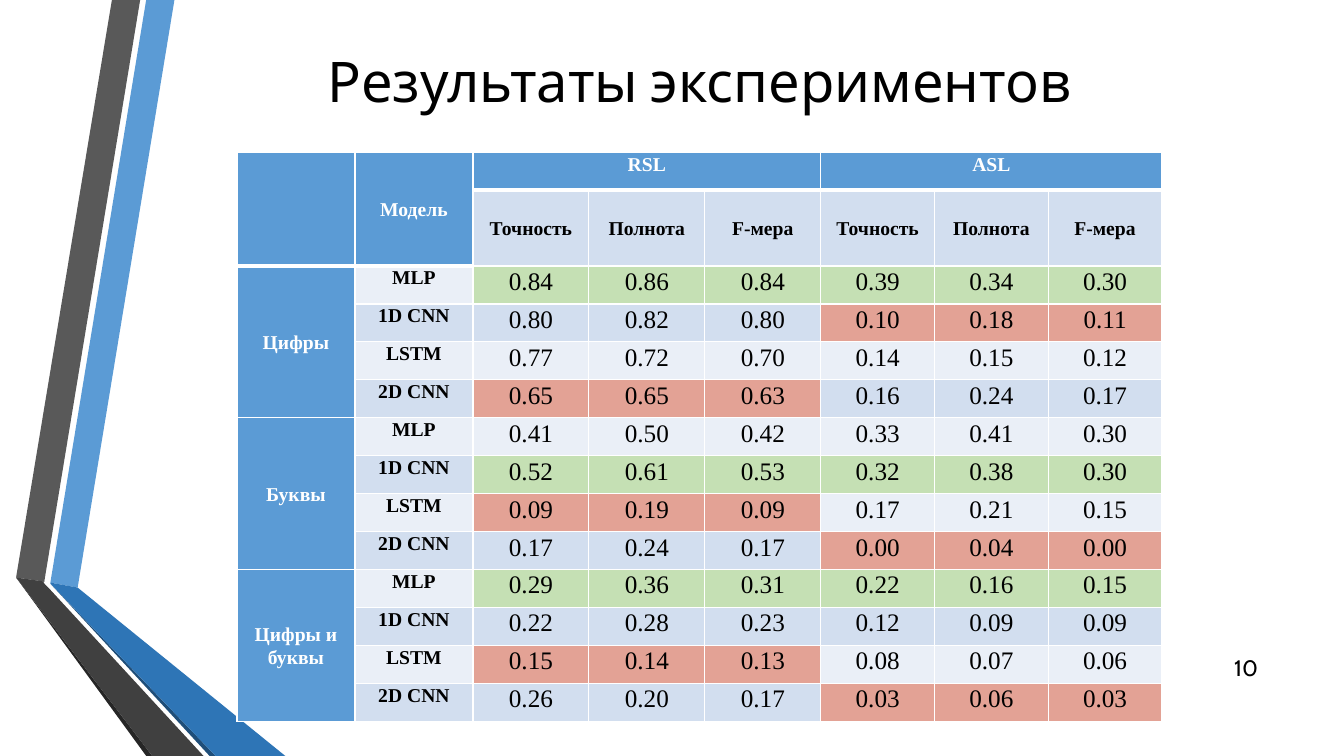
from dataclasses import dataclass

from lxml import etree
from pptx import Presentation
from pptx.dml.color import RGBColor
from pptx.enum.text import MSO_ANCHOR, MSO_AUTO_SIZE, PP_ALIGN
from pptx.oxml.ns import qn
from pptx.util import Inches, Pt

CENTER, RIGHT = PP_ALIGN.CENTER, PP_ALIGN.RIGHT
TOP, MIDDLE = MSO_ANCHOR.TOP, MSO_ANCHOR.MIDDLE
NO_AUTOFIT = MSO_AUTO_SIZE.NONE
WIDTH, HEIGHT = Inches(13.333), Inches(7.5)
TITLE_ONLY_LAYOUT = 5


@dataclass(frozen=True)
class Theme:
    heading_font: str = "Cabin"
    table_font: str = "Times New Roman"
    title_size: float = 40
    number_size: float = 16
    label_size: float = 14
    value_size: float = 18
    thin_line: float = 1
    heavy_line: float = 3
    white: str = "FFFFFF"
    black: str = "000000"
    blue: str = "5B9BD5"
    light_band: str = "EAEFF7"
    dark_band: str = "D2DEEF"
    best: str = "C5E0B4"
    worst: str = "E3A295"


THEME = Theme()


@dataclass(frozen=True)
class Ribbon:
    color: str
    points: tuple  # percent of the slide's width and height


@dataclass(frozen=True)
class TextStyle:
    font: str
    size: float
    color: str = THEME.black
    bold: bool = False


@dataclass(frozen=True)
class Experiment:
    group: str
    rsl: tuple  # one (precision, recall, F) triple per model
    asl: tuple


RIBBONS = (
    Ribbon(THEME.blue, ((3.75, 77.07), (5.78, 77.73), (12.98, 0), (10.88, 0))),
    Ribbon("595959", ((10.43, 0), (8.33, 0), (1.2, 76.4), (3.3, 76.93))),
    Ribbon("262626", ((1.2, 76.4), (10.88, 100), (11.33, 100))),
    Ribbon("1F4E79", ((3.75, 77.2), (15.6, 100), (16.05, 100))),
    Ribbon("2E75B6", ((3.75, 77.2), (16.05, 100), (21.23, 100), (5.78, 77.73), (3.75, 77.07))),
    Ribbon("404040", ((15.15, 100), (3.6, 77.73), (3.23, 77.07), (3.3, 76.93),
                      (1.2, 76.4), (11.33, 100))),
)
MODELS = ("MLP", "1D CNN", "LSTM", "2D CNN")
METRICS = ("Точность", "Полнота", "F-мера")
EXPERIMENTS = (
    Experiment("Цифры",
               ((.84, .86, .84), (.80, .82, .80), (.77, .72, .70), (.65, .65, .63)),
               ((.39, .34, .30), (.10, .18, .11), (.14, .15, .12), (.16, .24, .17))),
    Experiment("Буквы",
               ((.41, .50, .42), (.52, .61, .53), (.09, .19, .09), (.17, .24, .17)),
               ((.33, .41, .30), (.32, .38, .30), (.17, .21, .15), (.00, .04, .00))),
    Experiment("Цифры и буквы",
               ((.29, .36, .31), (.22, .28, .23), (.15, .14, .13), (.26, .20, .17)),
               ((.22, .16, .15), (.12, .09, .09), (.08, .07, .06), (.03, .06, .03))),
)
HEADER_ROWS, LABEL_COLUMNS = 2, 2
COLUMN_SHARES = (8.78,) * 2 + (8.63,) * 3 + (8.46,) * 3
ROW_SHARE = 5.02
ROW_UNITS = (1, 2) + (1,) * (len(EXPERIMENTS) * len(MODELS))

HEADING = TextStyle(THEME.table_font, THEME.label_size, THEME.white, True)
LABEL = TextStyle(THEME.table_font, THEME.label_size, bold=True)
VALUE = TextStyle(THEME.table_font, THEME.value_size)


def across(percent: float) -> int:
    return round(WIDTH * percent / 100)


def down(percent: float) -> int:
    return round(HEIGHT * percent / 100)


def rgb(color: str) -> RGBColor:
    return RGBColor.from_string(color)


def write(paragraph, text: str, style: TextStyle, alignment) -> None:
    paragraph.alignment = alignment
    run = paragraph.add_run()
    run.text = text
    run.font.name, run.font.size = style.font, Pt(style.size)
    run.font.bold = style.bold
    run.font.color.rgb = rgb(style.color)


def draw_ribbons(slide) -> None:
    group = slide.shapes.add_group_shape()
    for ribbon in RIBBONS:
        start, *others = [(across(x), down(y)) for x, y in ribbon.points]
        builder = group.shapes.build_freeform(*start)
        builder.add_line_segments(others, close=True)
        shape = builder.convert_to_shape()
        shape.shadow.inherit = False
        shape.fill.solid()
        shape.fill.fore_color.rgb = rgb(ribbon.color)
        shape.line.fill.background()


def fill_text_box(shape, text: str, style: TextStyle, alignment) -> None:
    frame = shape.text_frame
    frame.word_wrap, frame.auto_size = True, NO_AUTOFIT
    frame.vertical_anchor = MIDDLE
    write(frame.paragraphs[0], text, style, alignment)


def line_below(row: int, column: int) -> float:
    heavy = row == 0 or (row == 1 and column < LABEL_COLUMNS)
    return THEME.heavy_line if heavy else THEME.thin_line


def set_borders(cell, row: int, column: int) -> None:
    properties = cell._tc.get_or_add_tcPr()
    weights = {"a:lnL": THEME.thin_line, "a:lnR": THEME.thin_line,
               "a:lnT": line_below(row - 1, column), "a:lnB": line_below(row, column)}
    for position, (tag, weight) in enumerate(weights.items()):
        line = etree.Element(qn(tag), w=str(Pt(weight)))
        fill = etree.SubElement(line, qn("a:solidFill"))
        etree.SubElement(fill, qn("a:srgbClr"), val=THEME.white)
        properties.insert(position, line)


def put(table, row: int, column: int, text: str, style: TextStyle, fill: str, anchor=TOP) -> None:
    cell = table.cell(row, column)
    cell.fill.solid()
    cell.fill.fore_color.rgb = rgb(fill)
    cell.vertical_anchor = anchor
    paragraph = cell.text_frame.paragraphs[0]
    paragraph.line_spacing = 1.07
    paragraph.space_before = paragraph.space_after = Pt(1.5)
    write(paragraph, text, style, CENTER)


def fill_scores(table, row: int, column: int, scores: tuple) -> None:
    # Models are ranked by F-measure; a tie goes to the later one
    ranking = sorted(range(len(scores)), key=lambda model: (scores[model][-1], model))
    for model, triple in enumerate(scores):
        fill = THEME.dark_band if model % 2 else THEME.light_band
        fill = {ranking[0]: THEME.worst, ranking[-1]: THEME.best}.get(model, fill)
        for offset, score in enumerate(triple):
            put(table, row + model, column + offset, f"{score:.2f}", VALUE, fill)


def draw_table(slide) -> None:
    frame = slide.shapes.add_table(
        len(ROW_UNITS), len(COLUMN_SHARES), across(17.63), down(20.13),
        across(sum(COLUMN_SHARES)), down(ROW_SHARE * sum(ROW_UNITS)))
    table = frame.table
    table.horz_banding = False
    for column, share in zip(table.columns, COLUMN_SHARES):
        column.width = across(share)
    for row, units in zip(table.rows, ROW_UNITS):
        row.height = down(ROW_SHARE * units)

    # Every cell: insets and grid lines
    for row in range(len(ROW_UNITS)):
        for column in range(len(COLUMN_SHARES)):
            cell = table.cell(row, column)
            cell.margin_left = cell.margin_right = across(0.53)
            cell.margin_top = cell.margin_bottom = 0
            cell.fill.solid()
            cell.fill.fore_color.rgb = rgb(THEME.blue)
            set_borders(cell, row, column)

    # Header
    for column in range(LABEL_COLUMNS):
        table.cell(0, column).merge(table.cell(1, column))
    put(table, 0, 1, "Модель", HEADING, THEME.blue, MIDDLE)
    score_columns = {"RSL": LABEL_COLUMNS, "ASL": LABEL_COLUMNS + len(METRICS)}
    for language, first in score_columns.items():
        table.cell(0, first).merge(table.cell(0, first + len(METRICS) - 1))
        put(table, 0, first, language, HEADING, THEME.blue)
        for offset, metric in enumerate(METRICS):
            put(table, 1, first + offset, metric, LABEL, THEME.dark_band, MIDDLE)

    # One block of rows per experiment
    for index, experiment in enumerate(EXPERIMENTS):
        top = HEADER_ROWS + index * len(MODELS)
        table.cell(top, 0).merge(table.cell(top + len(MODELS) - 1, 0))
        put(table, top, 0, experiment.group, HEADING, THEME.blue, MIDDLE)
        for offset, model in enumerate(MODELS):
            fill = THEME.dark_band if offset % 2 else THEME.light_band
            put(table, top + offset, 1, model, LABEL, fill)
        fill_scores(table, top, score_columns["RSL"], experiment.rsl)
        fill_scores(table, top, score_columns["ASL"], experiment.asl)


def main() -> None:
    presentation = Presentation()
    presentation.slide_width, presentation.slide_height = WIDTH, HEIGHT
    slide = presentation.slides.add_slide(presentation.slide_layouts[TITLE_ONLY_LAYOUT])
    draw_ribbons(slide)

    # Title and slide number
    title = slide.shapes.title
    title.left, title.top = across(17.63), down(2)
    title.width, title.height = across(68.85), down(17.07)
    fill_text_box(title, "Результаты экспериментов",
                  TextStyle(THEME.heading_font, THEME.title_size), CENTER)
    number = slide.shapes.add_textbox(across(89.85), down(85.6), across(4.5), down(5.33))
    fill_text_box(number, "10", TextStyle(THEME.heading_font, THEME.number_size), RIGHT)

    draw_table(slide)
    presentation.save("out.pptx")


if __name__ == "__main__":
    main()
